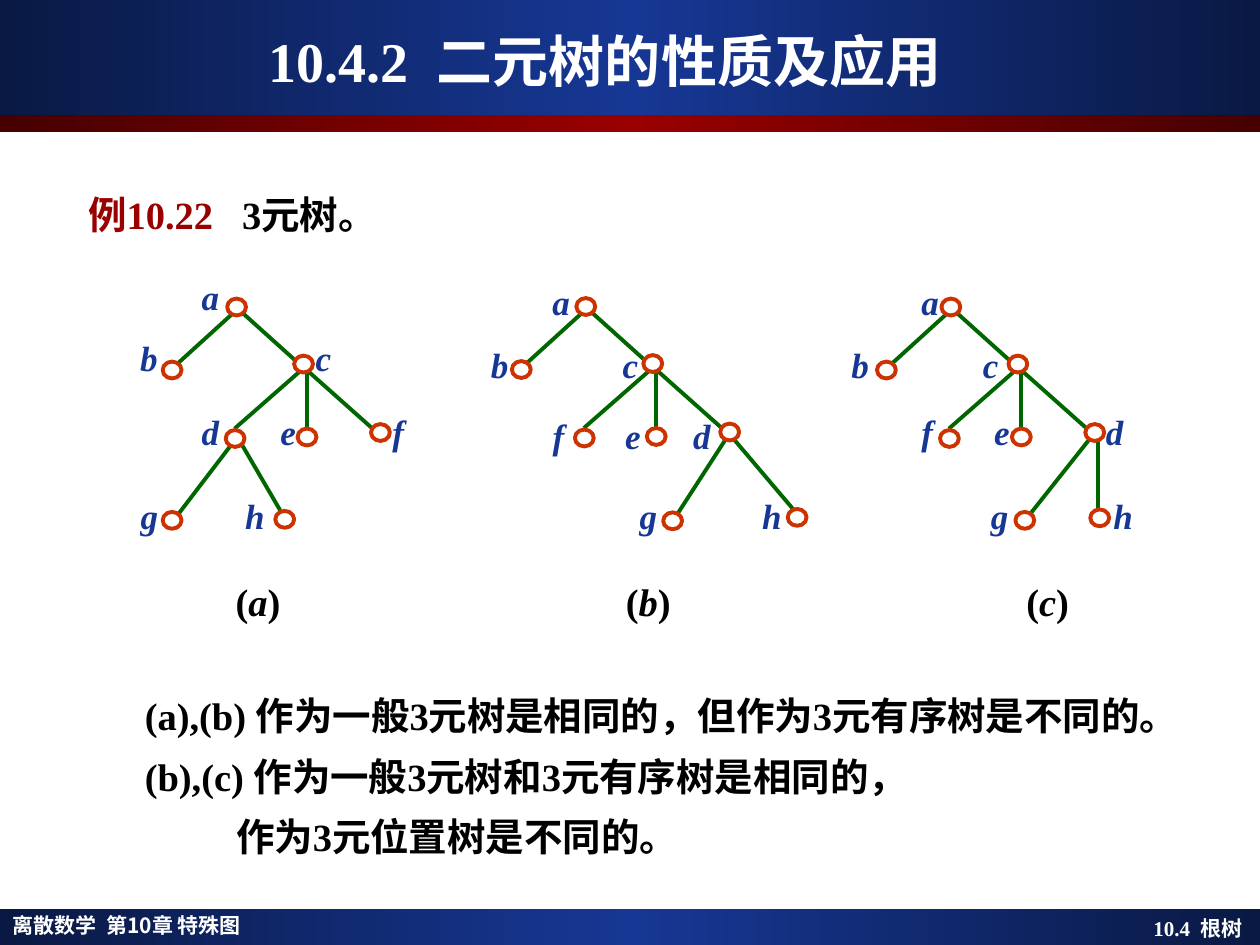
from copy import deepcopy

from lxml.etree import SubElement
from pptx import Presentation
from pptx.dml.color import RGBColor
from pptx.enum.shapes import MSO_CONNECTOR, MSO_SHAPE
from pptx.enum.text import MSO_ANCHOR, MSO_AUTO_SIZE, PP_ALIGN
from pptx.oxml.ns import qn
from pptx.util import Cm, Pt

WHITE = RGBColor(0xFF, 0xFF, 0xFF)
BLACK = RGBColor(0x00, 0x00, 0x00)
NAVY = RGBColor(0x0A, 0x19, 0x44)
BLUE = RGBColor(0x16, 0x37, 0x94)
MAROON = RGBColor(0x46, 0x00, 0x00)
RED = RGBColor(0x99, 0x00, 0x00)
ORANGE = RGBColor(0xCC, 0x33, 0x00)
GREEN = RGBColor(0x00, 0x66, 0x00)

SERIF = "Times New Roman"
SANS = "Noto Sans CJK JP"

SHARED_NODES = [(0, 0), (-1.3, 1.27), (1.35, 1.15), (-0.03, 2.65), (1.42, 2.62), (2.9, 2.53)]
SHARED_EDGES = [
    (-0.09, 0.14, -1.18, 1.13),
    (0.11, 0.11, 1.21, 1.1),
    (1.26, 1.31, -0.04, 2.45),
    (1.41, 1.33, 1.41, 2.48),
    (1.46, 1.31, 2.83, 2.53),
]
TREES = [
    {
        "name": "a", "caption_x": 5.2, "root": (4.77, 6.19),
        "leaves": [(-1.3, 4.3), (0.97, 4.28)],
        "edges": [(-0.11, 2.78, -1.18, 4.18), (0.11, 2.78, 0.88, 4.1)],
        "labels": [
            (5.98, {"a": 4.24}),
            (7.2, {"b": 3.0, "c": 6.52}),
            (8.7, {"d": 4.24, "e": 5.81, "f": 8.03}),
            (10.39, {"g": 3.01, "h": 5.14}),
        ],
    },
    {
        "name": "b", "caption_x": 13.07, "root": (11.81, 6.18),
        "leaves": [(1.75, 4.32), (4.26, 4.25)],
        "edges": [(2.81, 2.69, 1.84, 4.19), (2.98, 2.67, 4.2, 4.11)],
        "labels": [
            (6.07, {"a": 11.31}),
            (7.34, {"b": 10.07, "c": 12.71}),
            (8.77, {"f": 11.26, "e": 12.76, "d": 14.15}),
            (10.39, {"g": 13.07, "h": 15.56}),
        ],
    },
    {
        "name": "c", "caption_x": 21.12, "root": (19.17, 6.19),
        "leaves": [(1.49, 4.3), (3.0, 4.25)],
        "edges": [(2.78, 2.68, 1.59, 4.18), (2.96, 2.71, 2.96, 4.1)],
        "labels": [
            (6.07, {"a": 18.75}),
            (7.34, {"b": 17.34, "c": 19.97}),
            (8.7, {"f": 18.69, "e": 20.2, "d": 22.47}),
            (10.39, {"g": 20.15, "h": 22.64}),
        ],
    },
]


class TreeSlide:
    node_width = 0.38
    node_height = 0.34
    stroke = Pt(2.25)

    def __init__(self, deck):
        self.slide = deck.slides.add_slide(deck.slide_layouts[5])
        self.shapes = self.slide.shapes

    def style(self, para, size, color, font=SERIF):
        para.font.name = font
        para.font.size = Pt(size)
        para.font.bold = True
        para.font.color.rgb = color

    def spaced(self, para, first, second, size):
        for text in (first, " ", second):
            span = para.add_run()
            span.text = text
            if text == " ":
                span.font._element.set("spc", str(size * 25))

    def band(self, top, height, edge, middle):
        shape = self.shapes.add_shape(MSO_SHAPE.RECTANGLE, 0, Cm(top), Cm(25.4), Cm(height))
        shape.shadow.inherit = False
        shape.line.fill.background()
        shape.fill.gradient()
        shape.fill.gradient_angle = 0
        stop_list = shape._element.spPr.find(qn("a:gradFill")).find(qn("a:gsLst"))
        stop_list.append(deepcopy(stop_list[0]))
        for stop, position, color in zip(shape.fill.gradient_stops, (0, 0.5, 1), (edge, middle, edge)):
            stop.position = position
            stop.color.rgb = color

    def title(self, number, text):
        box = self.shapes.title
        box.left, box.top, box.width, box.height = Cm(0.45), Cm(0.43), Cm(23.5), Cm(1.57)
        frame = box.text_frame
        frame.auto_size = MSO_AUTO_SIZE.NONE
        frame.vertical_anchor = MSO_ANCHOR.MIDDLE
        para = frame.paragraphs[0]
        para.alignment = PP_ALIGN.CENTER
        self.style(para, 32, WHITE)
        self.spaced(para, number, text, 32)
        self.shapes._spTree.append(box._element)

    def box(self, left, top, width, height):
        box = self.shapes.add_textbox(Cm(left), Cm(top), Cm(width), Cm(height))
        box.text_frame.word_wrap = True
        return box.text_frame

    def footer(self, left, top, width, first, second, font, align, line_spacing):
        para = self.box(left, top, width, 0.7).paragraphs[0]
        para.alignment = align
        para.line_spacing = line_spacing
        self.style(para, 12, WHITE, font)
        self.spaced(para, first, second, 12)

    def example(self, heading, statement):
        para = self.box(1.53, 3.73, 6.5, 1.19).paragraphs[0]
        tabs = SubElement(para._p.get_or_add_pPr(), qn("a:tabLst"))
        SubElement(tabs, qn("a:tab"), pos=str(Cm(3.1)), algn="l")
        self.style(para, 22, BLACK)
        for text, color in ((heading + "\t", RED), (statement, BLACK)):
            span = para.add_run()
            span.text = text
            span.font.color.rgb = color

    def remarks(self, lines):
        frame = self.box(1.5, 13.74, 22.2, 3.81)
        for index, (indent, text) in enumerate(lines):
            para = frame.add_paragraph() if index else frame.paragraphs[0]
            para.text = text
            para.line_spacing = 1.1
            para.space_before = Pt(5.5 if index else 0)
            properties = para._p.get_or_add_pPr()
            properties.set("marL", str(Cm(0.97)))
            properties.set("indent", str(Cm(indent)))
            self.style(para, 22, BLACK)

    def centered(self, x, y, width, spans, size, color):
        height = 0.9
        frame = self.box(x - width / 2, y - height / 2, width, height)
        frame.vertical_anchor = MSO_ANCHOR.MIDDLE
        frame.margin_left = frame.margin_right = frame.margin_top = frame.margin_bottom = 0
        para = frame.paragraphs[0]
        para.alignment = PP_ALIGN.CENTER
        self.style(para, size, color)
        for text, italic in spans:
            span = para.add_run()
            span.text = text
            span.font.italic = italic

    def edge(self, root, start_x, start_y, end_x, end_y):
        x, y = root
        line = self.shapes.add_connector(
            MSO_CONNECTOR.STRAIGHT, Cm(x + start_x), Cm(y + start_y), Cm(x + end_x), Cm(y + end_y))
        line.line.color.rgb = GREEN
        line.line.width = self.stroke
        SubElement(line._element.spPr, qn("a:effectLst"))

    def node(self, root, x, y):
        circle = self.shapes.add_shape(
            MSO_SHAPE.OVAL, Cm(root[0] + x - self.node_width / 2), Cm(root[1] + y - self.node_height / 2),
            Cm(self.node_width), Cm(self.node_height))
        circle.shadow.inherit = False
        circle.fill.solid()
        circle.fill.fore_color.rgb = WHITE
        circle.line.color.rgb = ORANGE
        circle.line.width = self.stroke

    def tree(self, tree):
        for edge in SHARED_EDGES + tree["edges"]:
            self.edge(tree["root"], *edge)
        for node in SHARED_NODES + tree["leaves"]:
            self.node(tree["root"], *node)
        for y, row in tree["labels"]:
            for letter, x in row.items():
                self.centered(x, y, 0.6, [(letter, True)], 20, BLUE)
        caption = [("(", False), (tree["name"], True), (")", False)]
        self.centered(tree["caption_x"], 12.11, 1.6, caption, 22, BLACK)


def main():
    deck = Presentation()
    deck.slide_width, deck.slide_height = Cm(25.4), Cm(19.05)
    page = TreeSlide(deck)
    page.band(18.33, 0.72, NAVY, BLUE)
    page.band(0, 2.32, NAVY, BLUE)
    page.band(2.32, 0.34, MAROON, RED)
    page.title("10.4.2", "二元树的性质及应用")
    page.footer(0, 18.32, 10.5, "离散数学", "第10章 特殊图", SANS, PP_ALIGN.LEFT, 0.9)
    page.footer(18.9, 18.34, 6.4, "10.4", "根树", SERIF, PP_ALIGN.RIGHT, 1.0)
    page.example("例10.22", "3元树。")
    for tree in TREES:
        page.tree(tree)
    page.remarks([
        (0.2, "(a),(b) 作为一般3元树是相同的，但作为3元有序树是不同的。"),
        (0.2, "(b),(c) 作为一般3元树和3元有序树是相同的，"),
        (2.04, "作为3元位置树是不同的。"),
    ])
    deck.save("out.pptx")


if __name__ == "__main__":
    main()
